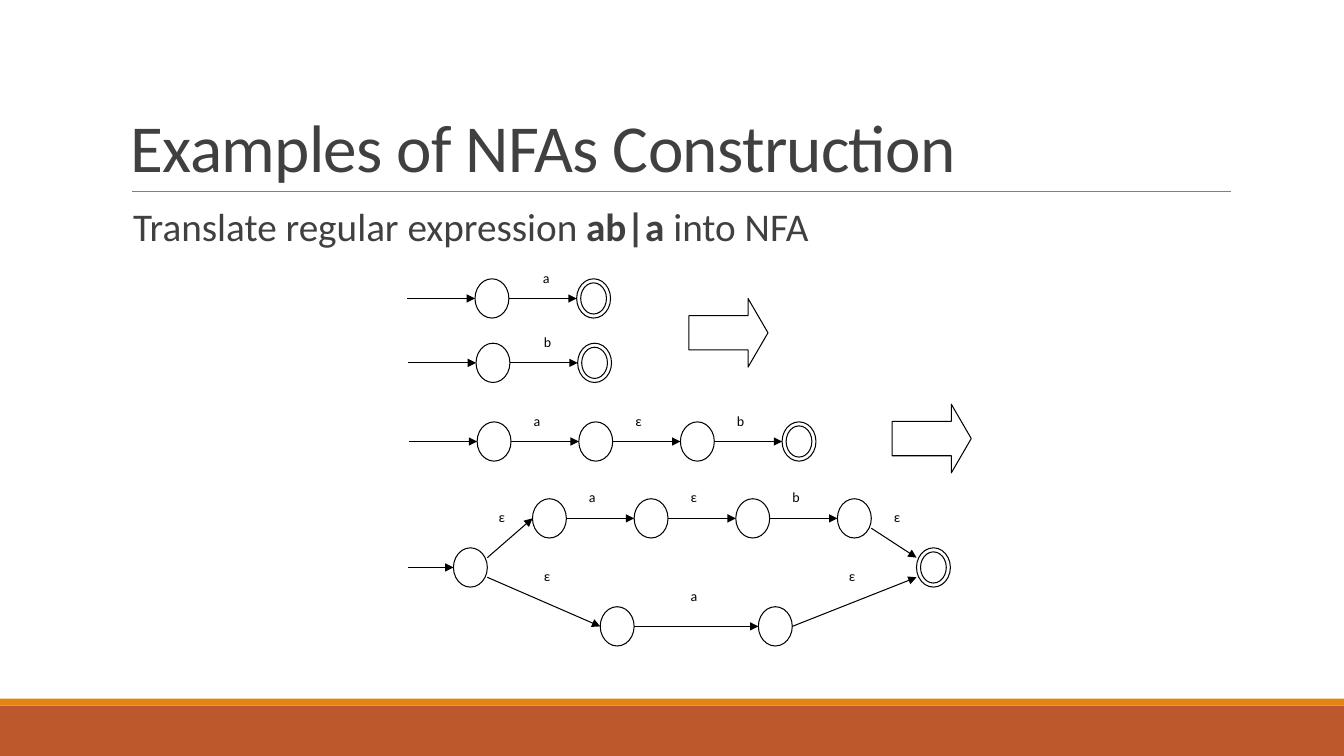
from dataclasses import dataclass

from lxml import etree
from pptx import Presentation, util as u
from pptx.dml import color
from pptx.enum import shapes, text
from pptx.oxml import ns

COLORS = {
    "ink": "000000", "paper": "FFFFFF", "heading": "404040",
    "rule": "808080", "footer": "BD582C", "stripe": "E48312",
}
FONT = "Calibri"

# Slide grid: a state is 3 columns by 4 rows, an arrow is 6 columns long
WIDTH, HEIGHT = u.Inches(13.33), u.Inches(7.5)
COLUMNS, ROWS = 119, 77
STATE_W, STATE_H, ARROW = 3, 4, 6
STEP = STATE_W + ARROW


@dataclass
class State:
    col: float      # left edge
    row: float      # centre
    final: bool = False


@dataclass
class Edge:
    col: float
    row: float
    end_col: float
    end_row: float


@dataclass
class Label:
    symbol: str
    col: float
    row: float


@dataclass
class Automaton:
    """Elements are placed relative to the start of the entry arrow."""
    col: float
    row: float
    elements: list


@dataclass
class BlockArrow:
    col: float
    row: float


def x(col: float) -> int:
    return round(col * WIDTH / COLUMNS)


def y(row: float) -> int:
    return round(row * HEIGHT / ROWS)


def rgb(name: str) -> color.RGBColor:
    return color.RGBColor.from_string(COLORS[name])


def chain(word: str, col: float, row: float = 0, shift: float = 5,
          final: bool = True) -> list:
    """States in a row, joined by one labelled edge per symbol."""
    elements: list = [State(col, row)]
    for i, symbol in enumerate(word):
        left = col + i * STEP
        last = i == len(word) - 1
        elements += [Edge(left + STATE_W, row, left + STEP, row),
                     State(left + STEP, row, final and last),
                     Label(symbol, left + shift, row - 3)]
    return elements


def entry(length: float = ARROW) -> Edge:
    return Edge(0, 0, length, 0)


AUTOMATA = [
    Automaton(36.06, 30.4, [entry(), *chain("a", 6, shift=6)]),
    Automaton(36.15, 36.96, [entry(), *chain("b", 6, shift=6)]),
    Automaton(36.25, 44.97, [entry(), *chain("aεb", 6)]),
    Automaton(36.15, 57.8, [
        entry(4), State(4, 0), State(45, 0, final=True),
        # upper branch: ab
        Edge(7, -1, 11, -5), *chain("aεb", 11, -5, final=False),
        Edge(41, -4, 45, -1),
        # lower branch: a
        Edge(7, 1, 17, 6), State(17, 6), Edge(20, 6, 31, 6),
        State(31, 6), Edge(34, 6, 45, 1),
        Label("ε", 8, -6), Label("ε", 43, -6), Label("a", 25, 2),
        Label("ε", 12, 0), Label("ε", 39, 0),
    ]),
]
BLOCK_ARROWS = [BlockArrow(61, 30.4), BlockArrow(79, 41.17)]


def add_shape(target, kind, col: float, row: float, cols: float, rows: float,
              fill: str = "paper", line: str | None = "ink"):
    sp = target.add_shape(kind, x(col), y(row), x(cols), y(rows))
    sp.shadow.inherit = False
    sp.fill.solid()
    sp.fill.fore_color.rgb = rgb(fill)
    if line:
        sp.line.color.rgb = rgb(line)
        sp.line.width = u.Pt(0.75)
    else:
        sp.line.fill.background()
    return sp


def add_line(target, edge: Edge, line: str = "ink", width: float = 0.75,
             arrow: bool = True) -> None:
    cxn = target.add_connector(
        shapes.MSO_CONNECTOR.STRAIGHT, x(edge.col), y(edge.row),
        x(edge.end_col), y(edge.end_row))
    cxn.line.color.rgb = rgb(line)
    cxn.line.width = u.Pt(width)
    props = cxn._element.spPr
    if arrow:
        etree.SubElement(props.find(ns.qn("a:ln")), ns.qn("a:tailEnd"),
                         type="triangle")
    etree.SubElement(props, ns.qn("a:effectLst"))


def add_label(target, label: Label) -> None:
    sp = add_shape(target, shapes.MSO_SHAPE.RECTANGLE, label.col, label.row,
                   1, 2, line="paper")
    tf = sp.text_frame
    tf.margin_left = tf.margin_right = tf.margin_top = tf.margin_bottom = 0
    tf.vertical_anchor = text.MSO_ANCHOR.TOP
    p = tf.paragraphs[0]
    p.text = label.symbol
    p.alignment = text.PP_ALIGN.JUSTIFY
    style(p, 10, "ink")


def add_state(target, state: State) -> None:
    kind = shapes.MSO_SHAPE.DONUT if state.final else shapes.MSO_SHAPE.OVAL
    sp = add_shape(target, kind, state.col, state.row - STATE_H / 2,
                   STATE_W, STATE_H)
    if state.final:
        sp.adjustments[0] = 0.12


def add_automaton(s, nfa: Automaton) -> None:
    target = s.shapes.add_group_shape().shapes
    for item in nfa.elements:
        col, row = nfa.col + item.col, nfa.row + item.row
        if isinstance(item, State):
            add_state(target, State(col, row, item.final))
        elif isinstance(item, Edge):
            add_line(target, Edge(col, row, nfa.col + item.end_col,
                                  nfa.row + item.end_row))
        else:
            add_label(target, Label(item.symbol, col, row))


def style(p, size: float, ink: str) -> None:
    p.font.name = FONT
    p.font.size = u.Pt(size)
    p.font.color.rgb = rgb(ink)


def add_text(s, col: float, row: float, cols: float, rows: float, size: float,
             spacing: float, runs: list[tuple[str, bool]]):
    tf = s.shapes.add_textbox(x(col), y(row), x(cols), y(rows)).text_frame
    tf.word_wrap = True
    p = tf.paragraphs[0]
    p.line_spacing = spacing
    for words, bold in runs:
        r = p.add_run()
        r.text = words
        if bold:
            r.font.bold = True
    style(p, size, "heading")
    return tf


def main() -> None:
    prs = Presentation()
    prs.slide_width, prs.slide_height = WIDTH, HEIGHT
    s = prs.slides.add_slide(prs.slide_layouts[6])

    # Footer bands and title rule
    for row, rows, fill in ((71.87, 5.13, "footer"), (71.15, 0.72, "stripe")):
        add_shape(s.shapes, shapes.MSO_SHAPE.RECTANGLE, 0, row, COLUMNS, rows,
                  fill, None)
    add_line(s.shapes, Edge(11.7, 19.5, 109, 19.5), "rule", 0.5, arrow=False)

    # Title and task
    title = add_text(s, 10.71, 3.18, 98.2, 16.32, 48, 0.85,
                     [("Examples of NFAs Construction", False)])
    title.vertical_anchor = text.MSO_ANCHOR.BOTTOM
    title.paragraphs[0].runs[0].font._element.set("spc", "-50")
    task = add_text(s, 11.78, 20.64, 92.84, 5.65, 28, 0.9,
                    [("Translate regular expression ", False),
                     ("ab|a ", True), ("into NFA", False)])
    task.margin_left = task.margin_right = 0

    # Automata and the block arrows between the stages
    for nfa in AUTOMATA:
        add_automaton(s, nfa)
    for arrow in BLOCK_ARROWS:
        sp = add_shape(s.shapes, shapes.MSO_SHAPE.RIGHT_ARROW,
                       arrow.col, arrow.row, 7, 7)
        sp.adjustments[1] = 0.29

    prs.save("out.pptx")


if __name__ == "__main__":
    main()
